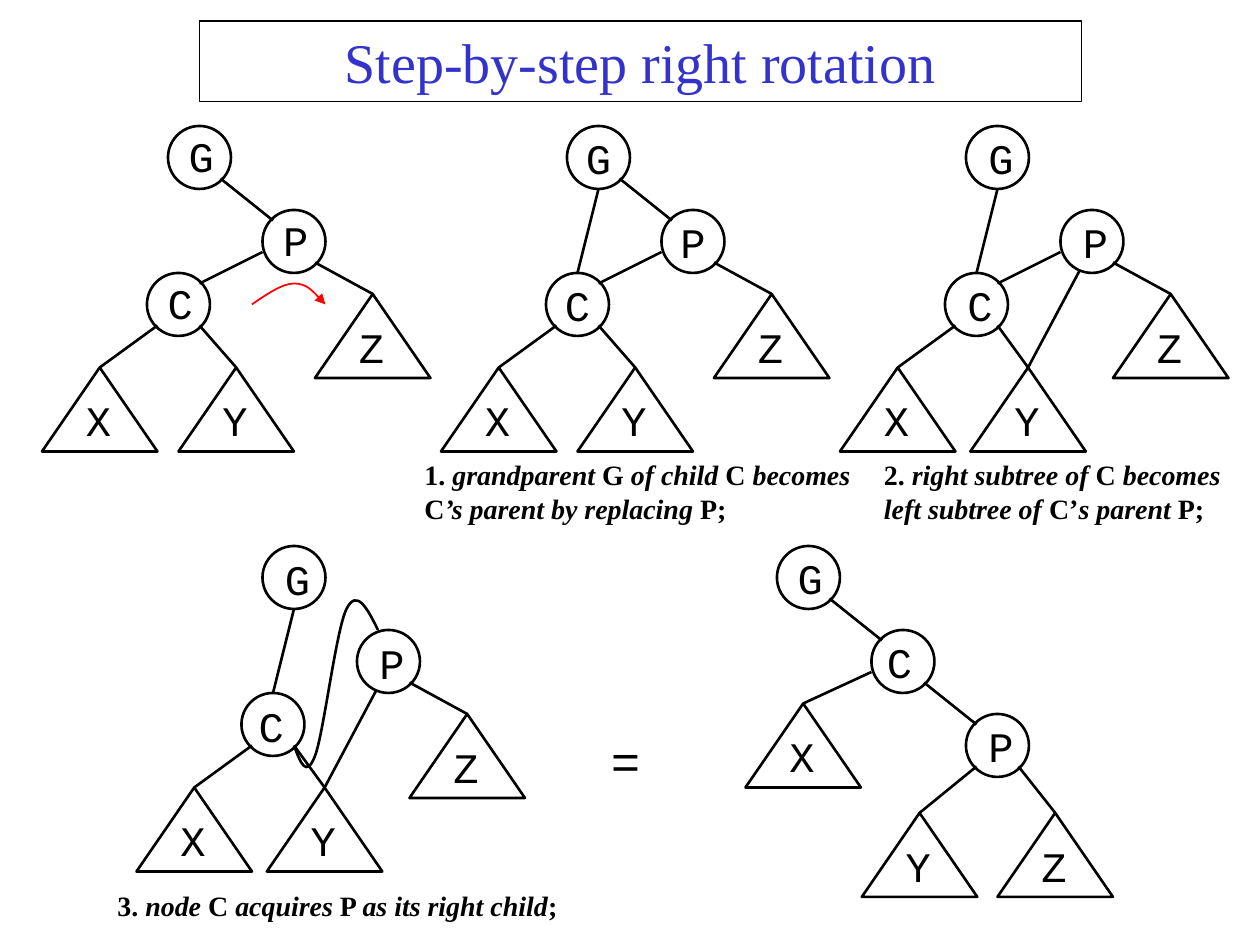
from lxml import etree
from pptx import Presentation
from pptx.dml.color import RGBColor
from pptx.enum import shapes, text
from pptx.oxml.ns import qn
from pptx.util import Pt

BLACK = RGBColor(0x00, 0x00, 0x00)
BLUE = RGBColor(0x33, 0x33, 0xCC)
RED = RGBColor(0xFF, 0x00, 0x00)
SERIF, MONO = "Times New Roman", "Courier New"

NODE = 36
SUBTREE_WIDTH, SUBTREE_HEIGHT = 66, 48
PORTS = {
    "top": (18, 0), "bottom": (18, 36), "left": (0, 24),
    "upper left": (6, 6), "upper right": (30, 6),
    "lower left": (6, 30), "lower right": (30, 30),
    "inner": (11, 34.5), "apex": (SUBTREE_WIDTH / 2, 0),
}

ROTATING_NODES = {"G": (72, 0), "P": (126, 48), "C": (60, 84)}
WIDE_SUBTREES = {"X": (0, 138), "Y": (78, 138), "Z": (156, 96)}
CLOSE_SUBTREES = {**WIDE_SUBTREES, "Y": (74.5, 138)}
FINAL_NODES = {"G": (18, 0), "C": (72, 48), "P": (126, 96)}
FINAL_SUBTREES = {"X": (0, 90), "Y": (66.5, 152.5), "Z": (144, 152.5)}

CHILD_EDGES = [("C", "lower left", "X", "apex"),
               ("C", "lower right", "Y", "apex"),
               ("P", "lower right", "Z", "apex")]
PARENT_TO_CHILD = ("P", "left", "C", "upper right")
GRAND_TO_PARENT = ("G", "lower right", "P", "upper left")
GRAND_TO_CHILD = ("G", "bottom", "C", "top")
PARENT_TO_Y = ("P", "inner", "Y", "apex")
FINAL_EDGES = [("G", "lower right", "C", "upper left"),
               ("C", "left", "X", "apex"),
               ("C", "lower right", "P", "upper left"),
               ("P", "lower left", "Y", "apex"),
               ("P", "lower right", "Z", "apex")]

ROTATION_ARROW = [(120, 102), (128.6, 96), (137.5, 90), (144, 90),
                  (151, 90), (156.5, 96), (162, 102)]
ACQUIRING_CURVE = [(90, 114), (93.5, 123.5), (97, 133), (102, 120), (107, 107),
                   (114, 48), (120, 36), (126, 24), (132, 36), (138, 48)]


def add_run(paragraph, content, font_name, size, color=BLACK, bold=False, italic=False):
    run = paragraph.add_run()
    run.text = content
    font = run.font
    font.name, font.size, font.bold, font.italic = font_name, Pt(size), bold, italic
    font.color.rgb = color


def style_outline(shape, color=BLACK, width=1.5):
    shape.shadow.inherit = False
    shape.fill.background()
    shape.line.color.rgb = color
    shape.line.width = Pt(width)


def add_outline(slide, kind, left, top, width, height):
    shape = slide.shapes.add_shape(kind, Pt(left), Pt(top), Pt(width), Pt(height))
    style_outline(shape)


def add_label(slide, content, left, top, width=36, height=36, size=24,
              alignment=text.PP_ALIGN.LEFT):
    box = slide.shapes.add_textbox(Pt(left), Pt(top), Pt(width), Pt(height))
    box.text_frame.word_wrap = True
    paragraph = box.text_frame.paragraphs[0]
    paragraph.alignment = alignment
    add_run(paragraph, content, MONO, size)


def add_edge(slide, start, end):
    edge = slide.shapes.add_connector(shapes.MSO_CONNECTOR.STRAIGHT,
                                      *(Pt(value) for value in (*start, *end)))
    edge.line.color.rgb = BLACK
    edge.line.width = Pt(1.5)
    etree.SubElement(edge._element.spPr, qn("a:effectLst"))


def add_curve(slide, left, top, points, color=BLACK, width=1.5, arrow=False):
    placed = [(Pt(left + x), Pt(top + y)) for x, y in points]
    builder = slide.shapes.build_freeform(*placed[0])
    builder.add_line_segments(placed[1:], close=False)
    curve = builder.convert_to_shape()
    style_outline(curve, color, width)
    outline = next(curve._element.iter(qn("a:path")))
    segments = outline.findall(qn("a:lnTo"))
    for first in range(0, len(segments), 3):
        bezier = etree.SubElement(outline, qn("a:cubicBezTo"))
        for segment in segments[first:first + 3]:
            bezier.append(segment[0])
            outline.remove(segment)
    if arrow:
        etree.SubElement(curve.line._get_or_add_ln(), qn("a:tailEnd"), type="triangle")


def add_tree(slide, left, top, nodes, subtrees, edges, nudges):
    for letter, (x, y) in subtrees.items():
        add_outline(slide, shapes.MSO_SHAPE.ISOSCELES_TRIANGLE, left + x, top + y,
                    SUBTREE_WIDTH, SUBTREE_HEIGHT)
        add_label(slide, letter, left + x + 18, top + y + 12)
    for letter, (x, y) in nodes.items():
        nudge_x, nudge_y = nudges[letter]
        add_outline(slide, shapes.MSO_SHAPE.OVAL, left + x, top + y, NODE, NODE)
        add_label(slide, letter, left + x + nudge_x, top + y + nudge_y,
                  alignment=text.PP_ALIGN.CENTER)
    places = {**nodes, **subtrees}

    def locate(letter, port):
        (x, y), (port_x, port_y) = places[letter], PORTS[port]
        return left + x + port_x, top + y + port_y

    for parent, parent_port, child, child_port in edges:
        add_edge(slide, locate(parent, parent_port), locate(child, child_port))


def add_caption(slide, left, top, width, height, lines):
    box = slide.shapes.add_textbox(Pt(left), Pt(top), Pt(width), Pt(height))
    frame = box.text_frame
    frame.word_wrap = False
    for index, line in enumerate(lines):
        paragraph = frame.add_paragraph() if index else frame.paragraphs[0]
        for content, italic in line:
            add_run(paragraph, content, SERIF, 16, bold=True, italic=italic)


def add_title(slide, left, top, width, height):
    title = slide.shapes.title
    title.left, title.top, title.width, title.height = map(Pt, (left, top, width, height))
    title.line.color.rgb = BLACK
    title.line.width = Pt(1)
    frame = title.text_frame
    frame.auto_size = text.MSO_AUTO_SIZE.NONE
    frame.vertical_anchor = text.MSO_ANCHOR.MIDDLE
    frame.paragraphs[0].alignment = text.PP_ALIGN.CENTER
    add_run(frame.paragraphs[0], "Step-by-step right rotation", SERIF, 32, BLUE)


def main():
    presentation = Presentation()
    presentation.slide_width, presentation.slide_height = Pt(720), Pt(540)
    slide = presentation.slides.add_slide(presentation.slide_layouts[5])
    add_title(slide, 114, 12, 504, 46)

    add_tree(slide, 24, 72, ROTATING_NODES, WIDE_SUBTREES,
             CHILD_EDGES + [PARENT_TO_CHILD, GRAND_TO_PARENT],
             dict.fromkeys("GPC", (1, -1)))
    add_curve(slide, 24, 72, ROTATION_ARROW, RED, 1, arrow=True)
    add_tree(slide, 252, 72, ROTATING_NODES, WIDE_SUBTREES,
             CHILD_EDGES + [PARENT_TO_CHILD, GRAND_TO_PARENT, GRAND_TO_CHILD],
             dict.fromkeys("GPC", (0, 0)))
    add_tree(slide, 480, 72, ROTATING_NODES, CLOSE_SUBTREES,
             CHILD_EDGES + [PARENT_TO_CHILD, GRAND_TO_CHILD, PARENT_TO_Y],
             dict.fromkeys("GPC", (2, 0)))
    add_tree(slide, 78, 312, ROTATING_NODES, CLOSE_SUBTREES,
             CHILD_EDGES + [GRAND_TO_CHILD, PARENT_TO_Y],
             {"G": (2, 1), "P": (2, 1), "C": (-1, 1)})
    add_curve(slide, 78, 312, ACQUIRING_CURVE)
    add_label(slide, "=", 342, 414, 54, 41, size=28)
    add_tree(slide, 426, 312, FINAL_NODES, FINAL_SUBTREES, FINAL_EDGES,
             {"G": (1, 0), "C": (-2, 0), "P": (2, 0)})

    add_caption(slide, 235.5, 258, 263, 46, [
        [("1. ", False), ("grandparent", True), (" G ", False), ("of child", True),
         (" C ", False), ("becomes", True)],
        [("C", False), ("’s parent by replacing", True), (" P;", False)]])
    add_caption(slide, 498, 258, 212, 46, [
        [("2. ", False), ("right subtree of", True), (" C ", False), ("becomes", True)],
        [("left subtree of", True), (" C’", False), ("s parent", True), (" P;", False)]])
    add_caption(slide, 60, 504, 268, 27, [
        [("3. ", False), ("node", True), (" C ", False), ("acquires", True),
         (" P ", False), ("as its right child", True), (";", False)]])
    presentation.save("out.pptx")


if __name__ == "__main__":
    main()
